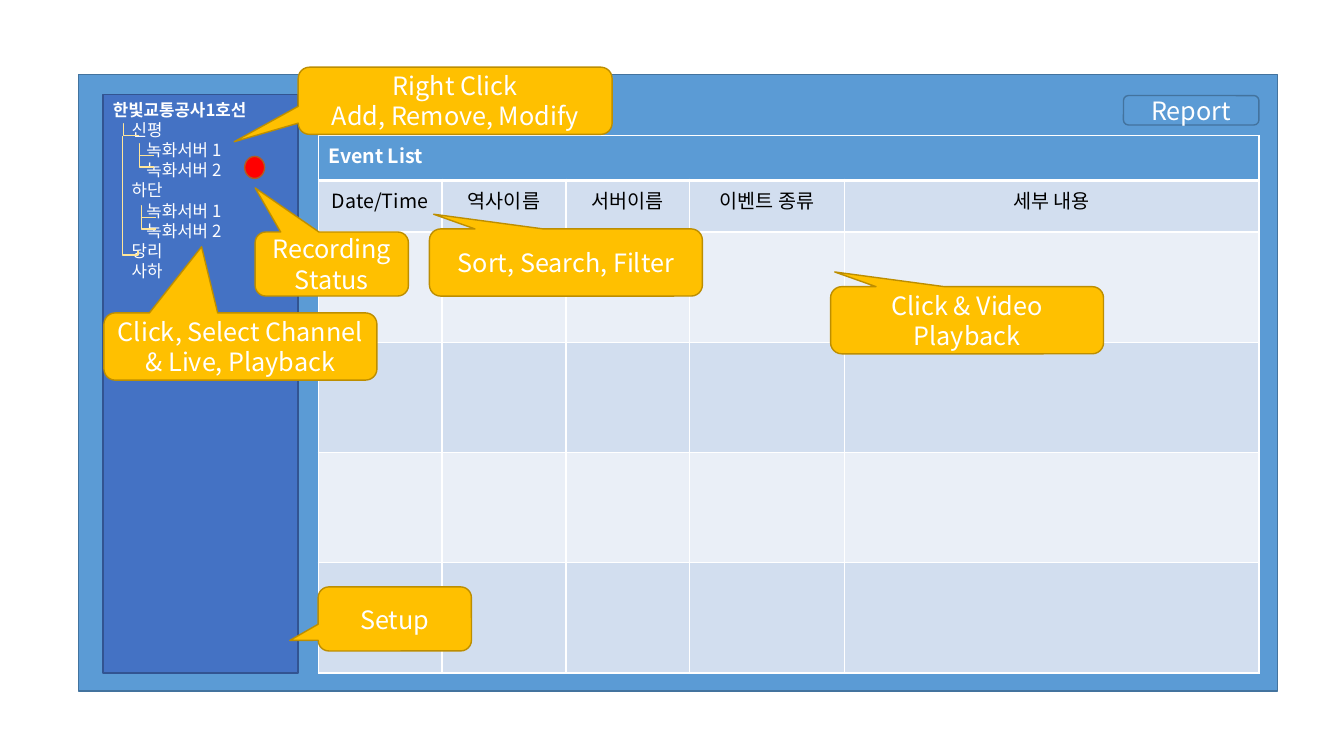
from typing import NamedTuple

from lxml.etree import SubElement
from pptx import Presentation
from pptx.dml.color import RGBColor
from pptx.enum.shapes import MSO_CONNECTOR, MSO_SHAPE as Geometry
from pptx.enum.text import MSO_ANCHOR as Anchor, PP_ALIGN as Align
from pptx.oxml import parse_xml
from pptx.oxml.ns import nsdecls, qn
from pptx.shapes.autoshape import Shape
from pptx.shapes.shapetree import SlideShapes
from pptx.table import _Cell as Cell
from pptx.text.text import TextFrame
from pptx.util import Emu, Pt

EMU_PER_PX = 9525
FONT = "Noto Sans CJK KR"

WHITE = RGBColor(0xFF, 0xFF, 0xFF)
BLACK = RGBColor(0x00, 0x00, 0x00)
BLUE = RGBColor(0x5B, 0x9B, 0xD5)
BLUE_EDGE = RGBColor(0x43, 0x73, 0x9E)
NAVY = RGBColor(0x44, 0x72, 0xC4)
NAVY_EDGE = RGBColor(0x32, 0x54, 0x91)
GOLD = RGBColor(0xFF, 0xC0, 0x00)
GOLD_EDGE = RGBColor(0xBD, 0x8E, 0x00)
BRANCH = RGBColor(0xFF, 0xE6, 0x99)
RED = RGBColor(0xFF, 0x00, 0x00)
RED_EDGE = RGBColor(0xAF, 0x5C, 0x24)
BAND_DARK = RGBColor(0xD2, 0xDE, 0xEF)
BAND_LIGHT = RGBColor(0xEA, 0xEF, 0xF7)


class Box(NamedTuple):
    left: int
    top: int
    width: int
    height: int


class Callout(NamedTuple):
    lines: list[str]
    box: Box
    tip: tuple[int, int]


class Branch(NamedTuple):
    start: tuple[int, int]
    end: tuple[int, int]
    bend: int = 3800
    turn: int = 0


class TreeItem(NamedTuple):
    label: str
    indent: int
    bold: bool = False


TREE = [
    TreeItem("한빛교통공사1호선", 0, True),
    TreeItem("신평", 18),
    TreeItem("녹화서버 1", 32),
    TreeItem("녹화서버 2", 32),
    TreeItem("하단", 18),
    TreeItem("녹화서버 1", 32),
    TreeItem("녹화서버 2", 32),
    TreeItem("당리", 18),
    TreeItem("사하", 18),
]
BRANCHES = [
    Branch((x, y), (x + 15, y + 11))
    for x, y in [(117, 118), (132, 137), (132, 148), (134, 196), (134, 207)]
] + [Branch((179, 177), (69, 192), bend=103100, turn=270)]

CALLOUTS = [
    Callout(["Sort, Search, Filter"], Box(409, 218, 260, 64), (413, 204)),
    Callout(["Click & Video Playback"], Box(791, 273, 260, 64), (795, 259)),
    Callout(["Click, Select Channel & Live, Playback"], Box(99, 298, 260, 64), (192, 235)),
    Callout(["Right Click", "Add, Remove, Modify"], Box(284, 64, 299, 64), (223, 135)),
    Callout(["Recording Status"], Box(243, 221, 146, 61), (243, 179)),
    Callout(["Setup"], Box(303, 559, 146, 61), (276, 610)),
]

COLUMNS = {"Date/Time": 118, "역사이름": 118, "서버이름": 118, "이벤트 종류": 147, "세부 내용": 395}
ROW_HEIGHTS = [43, 49] + [105] * 4


def px(length: int) -> Emu:
    return Emu(length * EMU_PER_PX)


def write(frame: TextFrame, lines: list[str], *, size: int, color: RGBColor = WHITE,
          bold: bool = False, align: Align = Align.LEFT, leading: float | None = None,
          indents: list[int] | None = None) -> None:
    """Fill a frame with one paragraph per line; indents are in px."""
    for index, line in enumerate(lines):
        paragraph = frame.paragraphs[0] if index == 0 else frame.add_paragraph()
        paragraph.alignment = align
        if leading:
            paragraph.line_spacing = Pt(leading)
        if indents:
            paragraph._p.get_or_add_pPr().set("marL", str(px(indents[index])))
        run = paragraph.add_run()
        run.text = line
        run.font.size = Pt(size)
        run.font.bold = bold
        run.font.color.rgb = color
        run.font.name = FONT
        SubElement(run._r.get_or_add_rPr(), qn("a:ea")).set("typeface", FONT)


def add_box(shapes: SlideShapes, geometry: Geometry, box: Box,
            fill: RGBColor, edge: RGBColor) -> Shape:
    shape = shapes.add_shape(geometry, *map(px, box))
    shape.shadow.inherit = False
    shape.fill.solid()
    shape.fill.fore_color.rgb = fill
    shape.line.color.rgb = edge
    shape.line.width = Pt(1)
    shape.text_frame.word_wrap = True
    shape.text_frame.vertical_anchor = Anchor.MIDDLE
    return shape


def add_tree(shapes: SlideShapes) -> None:
    panel = add_box(shapes, Geometry.RECTANGLE, Box(98, 90, 186, 551), NAVY, NAVY_EDGE)
    frame = panel.text_frame
    frame.vertical_anchor = Anchor.TOP
    write(frame, [item.label for item in TREE], size=12, leading=14.4,
          indents=[item.indent for item in TREE])
    for paragraph, item in zip(frame.paragraphs, TREE):
        paragraph.runs[0].font.bold = item.bold
    for branch in BRANCHES:
        add_branch(shapes, branch)


def add_branch(shapes: SlideShapes, branch: Branch) -> None:
    connector = shapes.add_connector(MSO_CONNECTOR.ELBOW, *map(px, branch.start + branch.end))
    connector.line.color.rgb = BRANCH
    connector.line.width = Pt(1)
    properties = connector._element.spPr
    SubElement(properties, qn("a:effectLst"))
    if branch.turn:
        properties.find(qn("a:xfrm")).set("rot", str(branch.turn * 60000))
    guides = properties.find(qn("a:prstGeom")).find(qn("a:avLst"))
    guide = SubElement(guides, qn("a:gd"))
    guide.set("name", "adj1")
    guide.set("fmla", f"val {branch.bend}")


def style_cell(cell: Cell, fill: RGBColor, top: int = 1, bottom: int = 1) -> None:
    """Set the fill and white borders; top and bottom widths are in points."""
    cell.fill.solid()
    cell.fill.fore_color.rgb = fill
    borders = {"lnL": 1, "lnR": 1, "lnT": top, "lnB": bottom}
    for index, (side, width) in enumerate(borders.items()):
        cell._tc.get_or_add_tcPr().insert(index, parse_xml(
            f'<a:{side} {nsdecls("a")} w="{Pt(width)}"><a:solidFill>'
            f'<a:srgbClr val="{WHITE}"/></a:solidFill></a:{side}>'))


def add_event_table(shapes: SlideShapes) -> None:
    box = Box(303, 129, sum(COLUMNS.values()), sum(ROW_HEIGHTS))
    table = shapes.add_table(len(ROW_HEIGHTS), len(COLUMNS), *map(px, box)).table
    for column, width in zip(table.columns, COLUMNS.values()):
        column.width = px(width)
    for number, (row, height) in enumerate(zip(table.rows, ROW_HEIGHTS)):
        row.height = px(height)
        for cell in row.cells:
            if number == 0:
                style_cell(cell, BLUE, bottom=3)
            else:
                style_cell(cell, BAND_DARK if number % 2 else BAND_LIGHT,
                           top=3 if number == 1 else 1)
    heading = table.cell(0, 0)
    heading.merge(table.cell(0, len(COLUMNS) - 1))
    write(heading.text_frame, ["Event List"], size=14, bold=True)
    for index, label in enumerate(COLUMNS):
        write(table.cell(1, index).text_frame, [label], size=14, color=BLACK, align=Align.CENTER)


def add_callout(shapes: SlideShapes, callout: Callout) -> None:
    box = callout.box
    bubble = add_box(shapes, Geometry.ROUNDED_RECTANGULAR_CALLOUT, box, GOLD, GOLD_EDGE)
    tip_x, tip_y = callout.tip
    bubble.adjustments[0] = (tip_x - box.left) / box.width - 0.5
    bubble.adjustments[1] = (tip_y - box.top) / box.height - 0.5
    bubble.text_frame.margin_left = bubble.text_frame.margin_right = px(8)
    write(bubble.text_frame, callout.lines, size=18, align=Align.CENTER, leading=21.6)


def main() -> None:
    deck = Presentation()
    deck.slide_width, deck.slide_height = px(1280), px(720)
    shapes = deck.slides.add_slide(deck.slide_layouts[6]).shapes

    add_box(shapes, Geometry.RECTANGLE, Box(75, 71, 1142, 587), BLUE, BLUE_EDGE)
    add_tree(shapes)
    add_event_table(shapes)
    report = add_box(shapes, Geometry.ROUNDED_RECTANGLE, Box(1070, 91, 129, 28), BLUE, BLUE_EDGE)
    write(report.text_frame, ["Report"], size=18, align=Align.CENTER, leading=21.6)
    add_box(shapes, Geometry.FLOWCHART_CONNECTOR, Box(233, 149, 19, 21), RED, RED_EDGE)
    for callout in CALLOUTS:
        add_callout(shapes, callout)

    deck.save("out.pptx")


if __name__ == "__main__":
    main()
